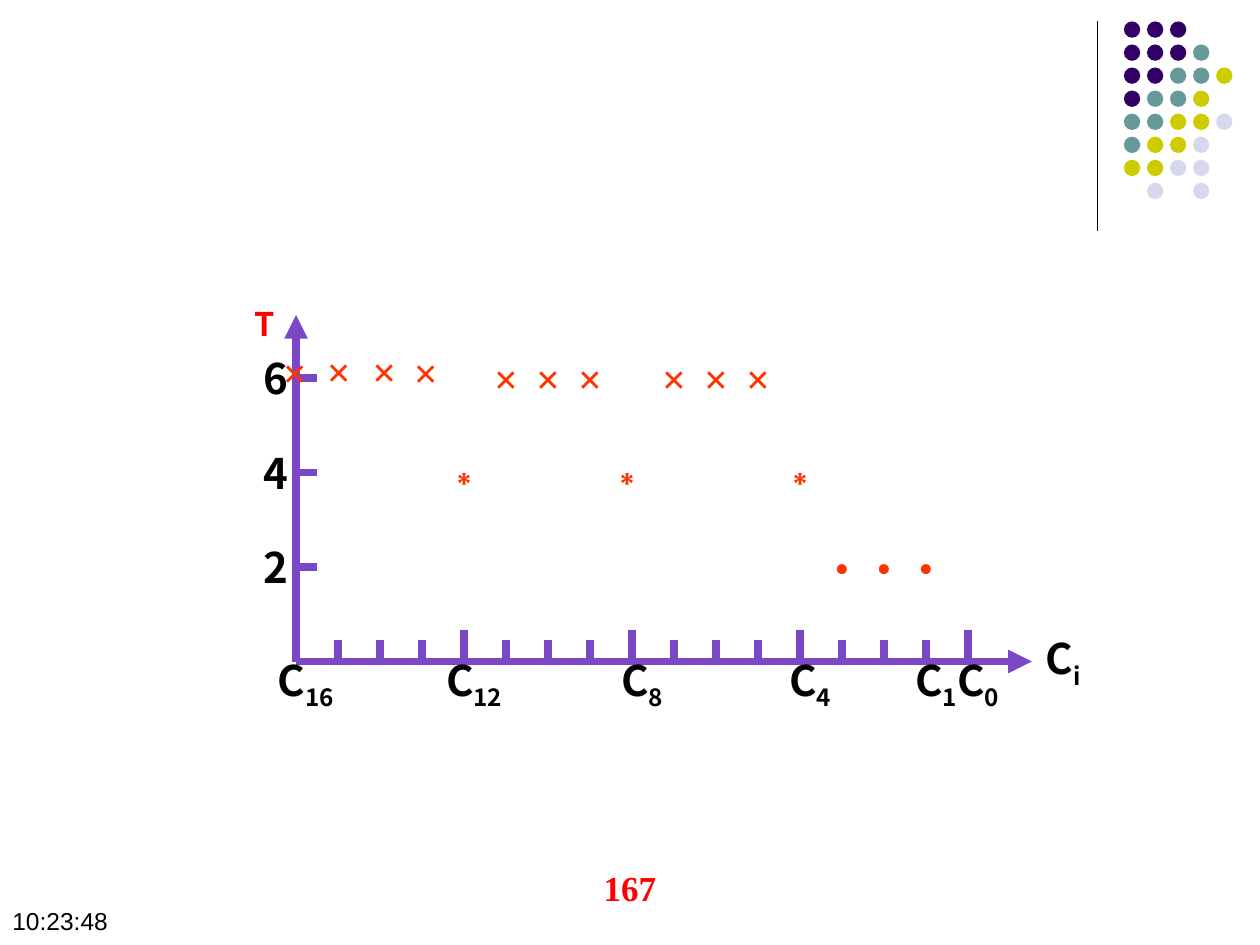
from dataclasses import dataclass

import lxml.etree
import pptx
import pptx.dml.color
import pptx.enum.shapes
import pptx.enum.text
import pptx.oxml.ns
import pptx.util

Inches = pptx.util.Inches
Align = pptx.enum.text.PP_ALIGN
Anchor = pptx.enum.text.MSO_ANCHOR
NOTO = "Noto Sans CJK SC"
TIMES = "Times New Roman"
PURPLE = "7A48C4"
ORANGE = "FF3300"
LEFT, BASE, STEP = 2.35, 5.25, 1 / 3


@dataclass
class Label:
    text: str
    mid: float
    top: float
    sub: str = ""
    width: float = 0.83
    height: float = 0.5
    size: int = 24
    font: str = NOTO
    color: str = "000000"
    bold: bool = True
    align: Align = Align.CENTER
    anchor: Anchor = Anchor.MIDDLE


@dataclass
class Line:
    start: tuple[float, float]
    end: tuple[float, float]
    color: str = PURPLE
    width: float = 4.5
    arrow: bool = False


def paint(target, color: str) -> None:
    target.rgb = pptx.dml.color.RGBColor.from_string(color)


def add_run(para, text: str, label: Label, base: int = 0) -> None:
    run = para.add_run()
    run.text = text
    font = run.font
    font.name = label.font
    font.size = pptx.util.Pt(label.size)
    font.bold = label.bold
    paint(font.color, label.color)
    props = run.font._element
    for tag in ("a:ea", "a:cs"):
        face = lxml.etree.SubElement(props, pptx.oxml.ns.qn(tag))
        face.set("typeface", label.font)
    if base:
        props.set("baseline", str(base * 1000))


def add_label(shapes, label: Label) -> None:
    box = shapes.add_textbox(
        Inches(label.mid - label.width / 2), Inches(label.top),
        Inches(label.width), Inches(label.height))
    frame = box.text_frame
    frame.word_wrap = True
    frame.vertical_anchor = label.anchor
    para = frame.paragraphs[0]
    para.alignment = label.align
    if label.text:
        add_run(para, label.text, label)
    if label.sub:
        add_run(para, label.sub, label, -25)


def add_line(shapes, line: Line) -> None:
    ends = [Inches(n) for n in (*line.start, *line.end)]
    link = shapes.add_connector(pptx.enum.shapes.MSO_CONNECTOR.STRAIGHT, *ends)
    link.line.width = pptx.util.Pt(line.width)
    paint(link.line.color, line.color)
    if line.arrow:
        tail = lxml.etree.SubElement(
            link.line._get_or_add_ln(), pptx.oxml.ns.qn("a:tailEnd"))
        tail.set("type", "triangle")
    lxml.etree.SubElement(
        link._element.spPr, pptx.oxml.ns.qn("a:effectLst"))


def add_dots(shapes) -> None:
    tints = {"P": "330066", "T": "669999", "Y": "CCCC00", "L": "D8D8EC"}
    rows = ["PPP", "PPPT", "PPTTY", "PTTY", "TTYYL", "TYYL", "YYLL", " L L"]
    size = Inches(0.13)
    for row, codes in enumerate(rows):
        for col, code in enumerate(codes):
            if code not in tints:
                continue
            dot = shapes.add_shape(
                pptx.enum.shapes.MSO_SHAPE.OVAL, Inches(8.92 + col * 0.183),
                Inches(0.17 + row * 0.183), size, size)
            dot.shadow.inherit = False
            dot.fill.solid()
            paint(dot.fill.fore_color, tints[code])
            dot.line.fill.background()


def tick(step: int) -> float:
    return LEFT + step * STEP


def main() -> None:
    deck = pptx.Presentation()
    deck.slide_width, deck.slide_height = Inches(10), Inches(7.5)
    shapes = deck.slides.add_slide(deck.slide_layouts[6]).shapes

    add_line(shapes, Line((8.71, 0.17), (8.71, 1.83), "000000", 0.75))
    add_dots(shapes)

    add_line(shapes, Line((LEFT, BASE), (8.19, BASE), arrow=True))
    add_line(shapes, Line((LEFT, BASE), (LEFT, 2.5), arrow=True))
    for step in range(1, 17):
        rise = 0.17 if step % 4 else 0.25
        add_line(shapes, Line((tick(step), BASE - rise), (tick(step), BASE)))
    for value in (2, 4, 6):
        level = BASE - value * 0.375
        add_line(shapes, Line((LEFT, level), (LEFT + 0.17, level)))
        add_label(shapes, Label(str(value), 2.19, level - 0.25, width=0.5))

    for index in (16, 12, 8, 4, 1, 0):
        mid = tick(16 - index) + 0.08
        add_label(shapes, Label("C", mid, 5.17, str(index), 1.17))
    add_label(shapes, Label("C", 8.44, 5, "i", 1.17))
    add_label(shapes, Label(
        "", 2.1, 2.19, "T", 1.17, 0.46, size=32, color="FF0000"))

    crosses = [(2.34, 2.7), (2.69, 2.69), (3.05, 2.69), (3.38, 2.7)]
    crosses += [(tick(step), 2.75) for step in (5, 6, 7, 9, 10, 11)]
    stars = [(tick(4), 3.5), (4.98, 3.5), (tick(12), 3.5)]
    points = [(tick(step), 4.25) for step in (13, 14, 15)]
    for mark, spots in (("×", crosses), ("∗", stars), ("•", points)):
        for mid, top in spots:
            add_label(shapes, Label(
                mark, mid, top, font=TIMES, color=ORANGE, bold=mark != "•"))

    add_label(shapes, Label(
        "167", 5, 6.83, width=3.17, size=20, font=TIMES, color="FF0000",
        anchor=Anchor.TOP))
    add_label(shapes, Label(
        "10:23:48", 1.12, 7.14, width=2.24, height=0.34, size=14,
        font="Arial", bold=False, align=Align.LEFT, anchor=Anchor.TOP))
    deck.save("out.pptx")


if __name__ == "__main__":
    main()
